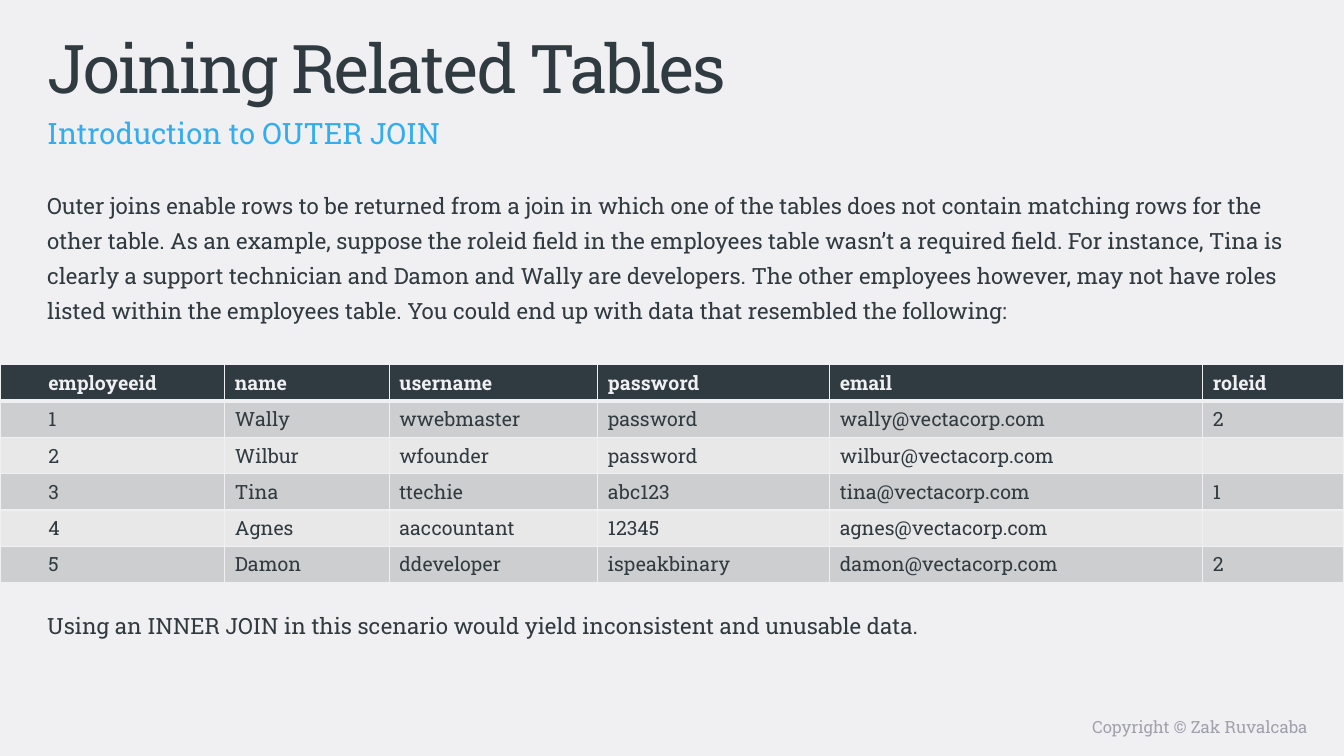
from lxml import etree
from pptx import Presentation
from pptx.dml.color import RGBColor
from pptx.enum.text import MSO_ANCHOR, MSO_AUTO_SIZE, PP_ALIGN
from pptx.oxml.ns import qn
from pptx.util import Inches, Pt

TOP = MSO_ANCHOR.TOP
NO_AUTOFIT = MSO_AUTO_SIZE.NONE
LEFT, RIGHT = PP_ALIGN.LEFT, PP_ALIGN.RIGHT

FONT = "Roboto Slab"
COLORS = {
    "paper": "F0F0F2",
    "ink": "303B41",
    "accent": "34ADEF",
    "muted": "A1A1AD",
    "odd_row": "CDCECF",
    "even_row": "E8E8E9",
}

INTRODUCTION = (
    "Outer joins enable rows to be returned from a join in which one of the tables "
    "does not contain matching rows for the other table. As an example, suppose the "
    "roleid field in the employees table wasn’t a required field. For instance, Tina "
    "is clearly a support technician and Damon and Wally are developers. The other "
    "employees however, may not have roles listed within the employees table. You "
    "could end up with data that resembled the following:"
)
CONCLUSION = (
    "Using an INNER JOIN in this scenario would yield inconsistent and unusable data."
)
EMPLOYEES = [
    ["employeeid", "name", "username", "password", "email", "roleid"],
    ["1", "Wally", "wwebmaster", "password", "wally@vectacorp.com", "2"],
    ["2", "Wilbur", "wfounder", "password", "wilbur@vectacorp.com", ""],
    ["3", "Tina", "ttechie", "abc123", "tina@vectacorp.com", "1"],
    ["4", "Agnes", "aaccountant", "12345", "agnes@vectacorp.com", ""],
    ["5", "Damon", "ddeveloper", "ispeakbinary", "damon@vectacorp.com", "2"],
]
COLUMN_WIDTHS = [2.23, 1.63, 2.07, 2.3, 3.7, 1.4]
ROW_HEIGHT = 0.36


def rgb(name):
    return RGBColor.from_string(COLORS[name])


def write(paragraph, text, size=16, color="ink", bold=False, align=LEFT,
          line_spacing=1.0, space_before=0, tracking=0):
    """Put formatted text into a paragraph."""
    paragraph.alignment = align
    paragraph.line_spacing = line_spacing
    paragraph.space_before = Pt(space_before)
    if not text:
        # An empty paragraph still needs its size, so the row keeps its height
        etree.SubElement(paragraph._p, qn("a:endParaRPr"), sz=str(size * 100))
        return
    run = paragraph.add_run()
    run.text = text
    run.font.name = FONT
    run.font.size = Pt(size)
    run.font.bold = bold
    run.font.color.rgb = rgb(color)
    if tracking:
        run._r.get_or_add_rPr().set("spc", str(int(tracking * 100)))


def add_border(cell, side, width):
    """Draw one side of a cell: L, R, T or B, in that order."""
    line = etree.SubElement(cell._tc.get_or_add_tcPr(), qn(f"a:ln{side}"),
                            w=str(Pt(width)))
    fill = etree.SubElement(line, qn("a:solidFill"))
    etree.SubElement(fill, qn("a:srgbClr"), val=COLORS["paper"])


class SlideBuilder:
    def __init__(self, presentation):
        self.slide = presentation.slides.add_slide(presentation.slide_layouts[5])
        self.slide.background.fill.solid()
        self.slide.background.fill.fore_color.rgb = rgb("paper")

    def title(self, text, left, top, width, height, **style):
        shape = self.slide.shapes.title
        shape.left, shape.top = Inches(left), Inches(top)
        shape.width, shape.height = Inches(width), Inches(height)
        frame = shape.text_frame
        frame.auto_size = NO_AUTOFIT
        frame.vertical_anchor = TOP
        write(frame.paragraphs[0], text, **style)

    def text(self, paragraphs, left, top, width, height, gap=0, **style):
        shape = self.slide.shapes.add_textbox(
            Inches(left), Inches(top), Inches(width), Inches(height))
        frame = shape.text_frame
        frame.word_wrap = True
        frame.vertical_anchor = TOP
        for index, text in enumerate(paragraphs):
            paragraph = frame.add_paragraph() if index else frame.paragraphs[0]
            write(paragraph, text, space_before=gap if index else 0, **style)

    def table(self, rows, left, top, widths, row_height):
        table = self.slide.shapes.add_table(
            len(rows), len(widths), Inches(left), Inches(top),
            Inches(sum(widths)), Inches(row_height * len(rows))).table
        for column, width in zip(table.columns, widths):
            column.width = Inches(width)
        for row_index, values in enumerate(rows):
            table.rows[row_index].height = Inches(row_height)
            for column_index, value in enumerate(values):
                self.cell(table.cell(row_index, column_index), value,
                          row_index, column_index)

    def cell(self, cell, value, row_index, column_index):
        header = row_index == 0
        # The first column lines up with the text above
        cell.margin_left = Inches(0.1 if column_index else 0.48)
        cell.margin_right = Inches(0.1)
        cell.margin_top = cell.margin_bottom = Inches(0.05)
        write(cell.text_frame.paragraphs[0], value, size=14, bold=header,
              color="paper" if header else "ink")
        # A thicker rule separates the header from the data
        add_border(cell, "L", 1)
        add_border(cell, "R", 1)
        add_border(cell, "T", 3 if row_index == 1 else 1)
        add_border(cell, "B", 3 if header else 1)
        band = "odd_row" if row_index % 2 else "even_row"
        cell.fill.solid()
        cell.fill.fore_color.rgb = rgb("ink" if header else band)


def main():
    presentation = Presentation()
    presentation.slide_width = Inches(13.33)
    presentation.slide_height = Inches(7.5)
    builder = SlideBuilder(presentation)

    # Footer
    builder.text(["Copyright © Zak Ruvalcaba"], 6.67, 7.06, 6.4, 0.31,
                 size=12, color="muted", align=RIGHT)

    # Heading
    builder.title("Joining Related Tables", 0.37, 0.21, 11.76, 0.79,
                  size=48, tracking=-1.5)

    # Body text, with room for the table between its paragraphs
    builder.text([INTRODUCTION, CONCLUSION], 0.37, 1.78, 12.59, 5.22,
                 gap=200, line_spacing=1.3)

    # Subtitle
    builder.text(["Introduction to OUTER JOIN"], 0.37, 0.99, 11.76, 0.39,
                 size=21, color="accent", line_spacing=1.3)

    # Employees table
    builder.table(EMPLOYEES, 0, 3.62, COLUMN_WIDTHS, ROW_HEIGHT)

    presentation.save("out.pptx")


if __name__ == "__main__":
    main()
